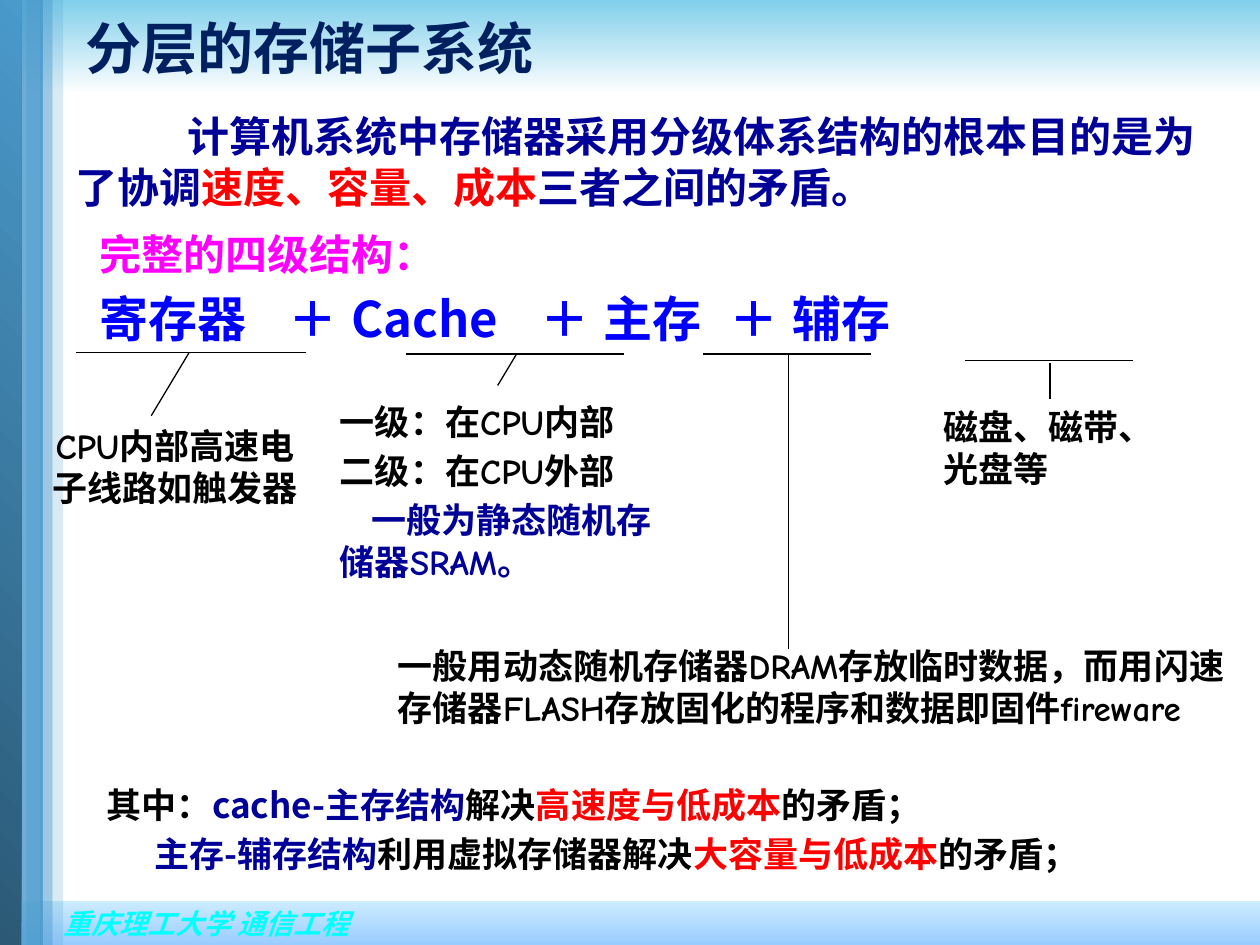
from lxml import etree
from pptx import Presentation
from pptx.dml.color import RGBColor
from pptx.enum import shapes, text
from pptx.oxml import ns
from pptx.util import Pt

COLORS = {
    "black": "000000", "white": "FFFFFF", "navy": "000099", "red": "FF0000",
    "blue": "0000FF", "magenta": "FF00FF", "cyan": "00FFFF", "title": "002060",
    "sky": "81CFEB", "steel": "4A9ACC", "deep": "2B5976",
    "ice": "CCECFF", "pale": "99CCFF",
}
COMIC, NOTO = "Comic Neue", "Noto Sans CJK SC"
LEFT, CENTER = text.PP_ALIGN.LEFT, text.PP_ALIGN.CENTER


def rgb(name):
    return RGBColor.from_string(COLORS[name])


def sub(parent, tag, **attrs):
    return etree.SubElement(parent, ns.qn(tag), attrs)


def write(p, runs, size, font=COMIC, before=0, after=0, indent=0, line=None,
          align=LEFT, tabs=(), italic=False):
    """Fill a paragraph with (text, colour) runs that share one font."""
    pPr = p._p.get_or_add_pPr()
    pPr.set("marL", "0")
    pPr.set("indent", str(Pt(indent)))
    p.alignment = align
    p.space_before, p.space_after = Pt(before), Pt(after)
    if line:
        p.line_spacing = line
    if tabs:
        tab_list = sub(pPr, "a:tabLst")
        for pos in tabs:
            sub(tab_list, "a:tab", pos=str(Pt(pos)), algn="l")
    f = p.font
    f.name, f.size, f.bold, f.italic = font, Pt(size), True, italic
    sub(pPr.find(ns.qn("a:defRPr")), "a:ea", typeface=NOTO)
    for words, color in runs:
        r = p.add_run()
        r.text = words
        r.font.color.rgb = rgb(color)


def add_text(s, box, *paragraphs):
    """Text box; each paragraph is (runs, options for write)."""
    tf = s.shapes.add_textbox(*map(Pt, box)).text_frame
    tf.word_wrap = True
    for i, (runs, options) in enumerate(paragraphs):
        p = tf.add_paragraph() if i else tf.paragraphs[0]
        write(p, runs, **options)
    return tf


def add_band(s, box, *colors, angle=270, alpha=None):
    """Plain or two-colour rectangle without outline."""
    sp = s.shapes.add_shape(shapes.MSO_SHAPE.RECTANGLE, *map(Pt, box))
    sp.shadow.inherit = False
    sp.line.fill.background()
    if len(colors) == 2:
        sp.fill.gradient()
        sp.fill.gradient_angle = angle
        for stop, position, color in zip(sp.fill.gradient_stops, (0, 1), colors):
            stop.position = position
            stop.color.rgb = rgb(color)
    else:
        sp.fill.solid()
        sp.fill.fore_color.rgb = rgb(colors[0])
    if alpha:
        color = sp._element.spPr.find(".//" + ns.qn("a:srgbClr"))
        sub(color, "a:alpha", val=str(alpha * 1000))
    return sp


def add_line(s, *ends):
    line = s.shapes.add_connector(shapes.MSO_CONNECTOR.STRAIGHT, *map(Pt, ends))
    line.line.color.rgb = rgb("black")
    line.line.width = Pt(0.75)
    sub(line._element.spPr, "a:effectLst")
    return line


def footer(s, box):
    tf = add_band(s, box, "ice", "pale").text_frame
    tf.margin_left = Pt(36.5)
    tf.vertical_anchor = text.MSO_ANCHOR.MIDDLE
    write(tf.paragraphs[0], [("重庆理工大学 通信工程", "cyan")], 16, NOTO, italic=True)


def side_stripes(s, box):
    x, y, w, h = box
    add_band(s, (x + 8, y, 16.5, h), "steel", alpha=80)
    add_band(s, (x - 0.7, y, 13, h), "deep", "steel", angle=45)
    for left, width, alpha in ((30.2, 6, 20), (23, 7.2, 54), (15.1, 8.6, 37)):
        add_band(s, (x + left, y, width, h), "steel", alpha=alpha)


def header(s, box, title):
    add_band(s, (0, 0, 720, 54), "sky", "white")
    sp = s.shapes.title
    sp.left, sp.top, sp.width, sp.height = map(Pt, box)
    tf = sp.text_frame
    tf.auto_size = text.MSO_AUTO_SIZE.NONE
    tf.vertical_anchor = text.MSO_ANCHOR.MIDDLE
    write(tf.paragraphs[0], [(title, "title")], 32)
    sp._element.getparent().append(sp._element)  # in front of the band


def intro(s, box):
    add_text(s, box, (
        [("计算机系统中存储器采用分级体系结构的根本目的是为了协调", "navy"),
         ("速度、容量、成本", "red"), ("三者之间的矛盾。", "navy")],
        dict(size=24, indent=64)))


def four_levels(s, box):
    add_text(
        s, box,
        ([("完整的四级结构：", "magenta")],
         dict(size=24, font=NOTO, line=0.8, after=12)),
        ([("寄存器\t＋\tCache\t＋\t主存\t＋\t辅存", "blue")],
         dict(size=28, font=NOTO, line=0.8,
              tabs=(103, 162, 266, 306.5, 375, 422))))


def level_note(s, box, rule, leader, *paragraphs):
    """Underline of a level, its leader, and the note it leads to."""
    x1, x2, y = rule
    add_line(s, x1, y, x2, y)
    line = add_line(s, *leader)
    add_text(s, box, *paragraphs)
    return line


def levels(s):
    first, later = dict(size=20), dict(size=20, before=4)
    level_note(s, (20.9, 239, 158.4, 55.4), (43.2, 175, 201.6),
               (108, 201.6, 86.4, 237.6),
               ([("CPU内部高速电子线路如触发器", "black")],
                dict(size=20, align=CENTER)))
    level_note(s, (187.2, 225.4, 211.7, 113), (231.8, 356.4, 202.3),
               (295.2, 202.3, 284.4, 220.3),
               ([("一级：在CPU内部", "black")], first),
               ([("二级：在CPU外部", "black")], later),
               ([("一般为静态随机存储器SRAM。", "navy")],
                dict(later, indent=18)))
    level_note(s, (220.3, 365, 499.7, 55.4), (401.8, 497.5, 202.3),
               (450.7, 202.3, 450.7, 370.8),
               ([("一般用动态随机存储器DRAM存放临时数据，"
                  "而用闪速存储器FLASH存放固化的程序和数据即固件fireware",
                  "black")], first))
    line = level_note(s, (532, 228.2, 136, 55.4), (551.5, 647.3, 205.9),
                      (600, 207.4, 600, 228.2),
                      ([("磁盘、磁带、光盘等", "black")], first))
    line.end_connect(s.shapes[-1], 0)


def summary(s, box):
    add_text(
        s, box,
        ([("其中：", "black"), ("cache-主存结构", "navy"), ("解决", "black"),
          ("高速度与低成本", "red"), ("的矛盾；", "black")],
         dict(size=20, font=NOTO)),
        ([("主存-辅存结构", "navy"), ("利用虚拟存储器解决", "black"),
          ("大容量与低成本", "red"), ("的矛盾；", "black")],
         dict(size=20, font=NOTO, before=4, indent=27)))


def main():
    prs = Presentation()
    prs.slide_width, prs.slide_height = Pt(720), Pt(540)
    s = prs.slides.add_slide(prs.slide_layouts[5])
    # Frame
    footer(s, (0, 514.8, 720, 25.2))
    header(s, (41.8, 0, 678.2, 54), "分层的存储子系统")
    side_stripes(s, (0, 0, 36, 540))
    # Content
    intro(s, (36, 59.8, 655.2, 66.2))
    four_levels(s, (49.7, 132.5, 660.2, 66.2))
    levels(s)
    summary(s, (54, 444.2, 648, 59.8))
    prs.save("out.pptx")


if __name__ == "__main__":
    main()
